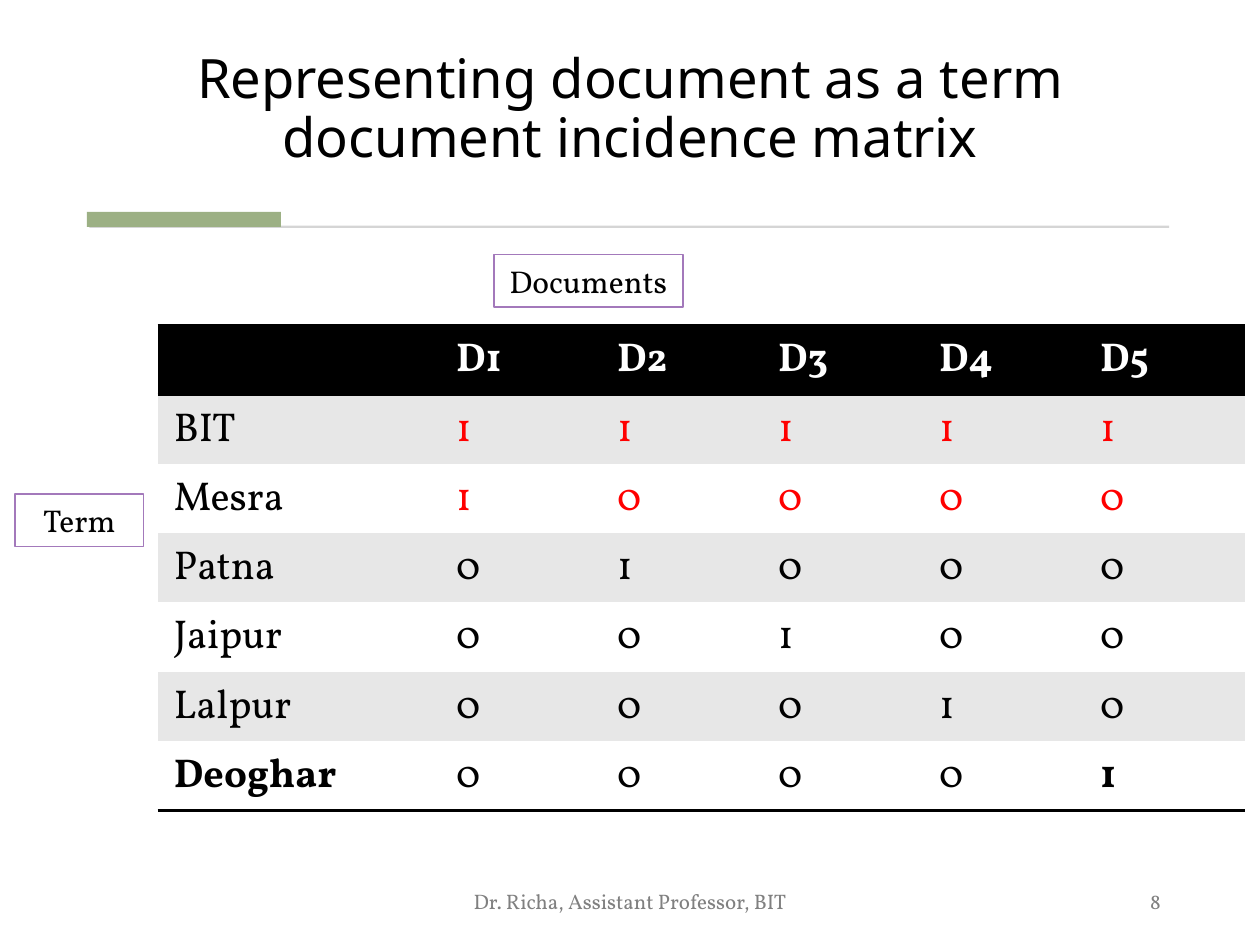
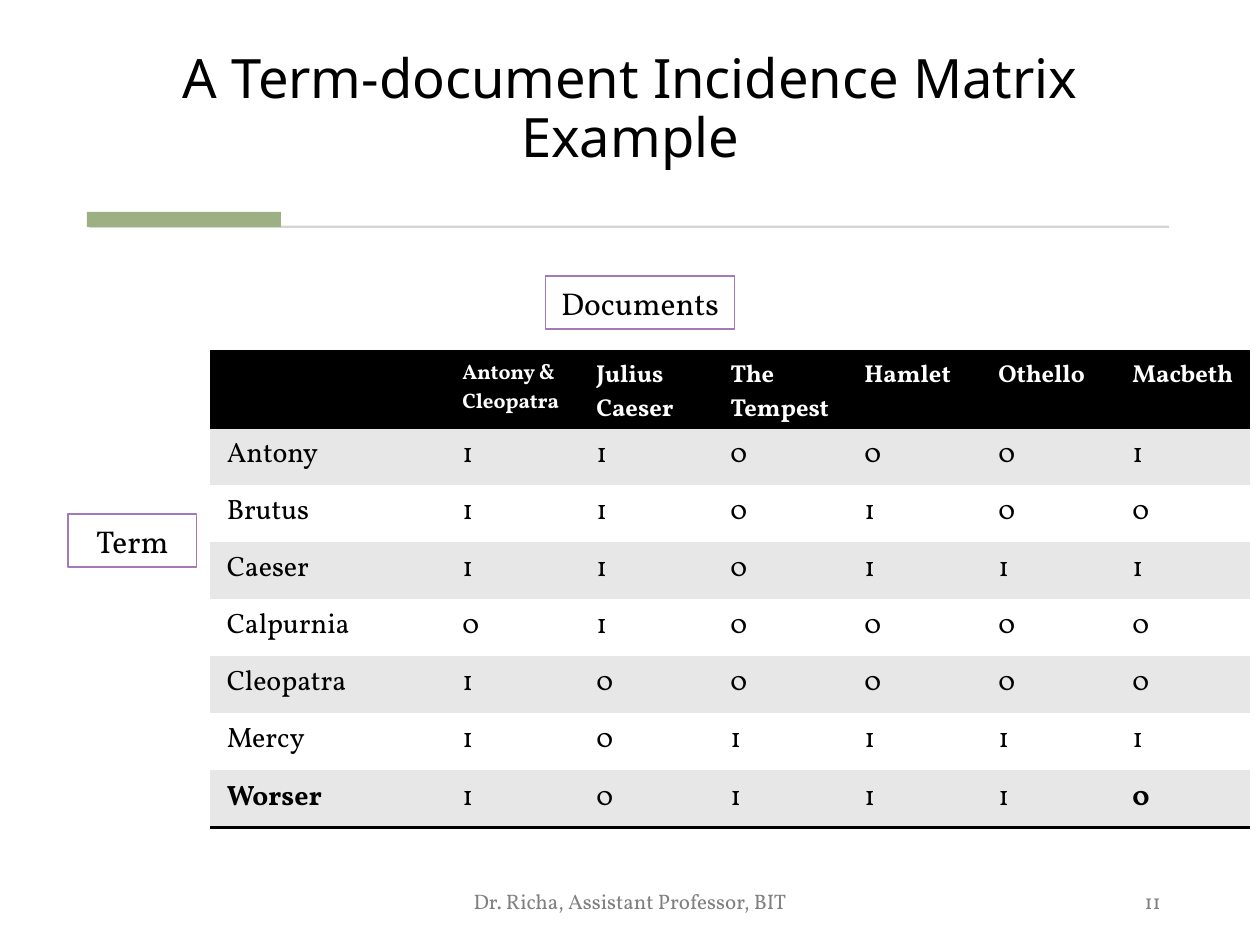
"""Build two slides that show term-document incidence matrices."""
from lxml.etree import SubElement
from pptx import Presentation
from pptx.dml.color import RGBColor
from pptx.enum.shapes import MSO_SHAPE as Shape
from pptx.enum.text import MSO_ANCHOR as Anchor, MSO_AUTO_SIZE as AutoSize, PP_ALIGN as Align
from pptx.oxml.ns import qn
from pptx.util import Pt

COLORS = {
    "black": "000000",
    "white": "FFFFFF",
    "stripe": "E7E7E7",
    "red": "FF0000",
    "rule": "D5D5D5",
    "accent": "9CB084",
    "outline": "A379BB",
    "footer": "808080",
}
TITLE_FONT, BODY_FONT = "Noto Sans", "Vollkorn"
PLAIN_TABLE_STYLE = "{2D5ABB26-0587-4C30-8999-92F81FD0307C}"
LABEL_HEIGHT = 30.2
FOOTER_TOP, FOOTER_HEIGHT = 500.4, 28.8


def color(name):
    return RGBColor.from_string(COLORS[name])


def apply(target, values):
    for name, value in values.items():
        setattr(target, name, value)


def write(frame, text, size, shade="black", font=BODY_FONT, bold=False, **para_format):
    para = frame.paragraphs[0]
    apply(para, para_format)
    span = para.add_run()
    span.text = text
    apply(span.font, {"name": font, "size": Pt(size), "bold": bold})
    span.font.color.rgb = color(shade)


def add_title(page, text):
    box = page.shapes.title
    apply(box, {"left": Pt(49.7), "top": Pt(20.2), "width": Pt(620.6), "height": Pt(79.9)})
    apply(box.text_frame, {"vertical_anchor": Anchor.BOTTOM, "word_wrap": True,
                           "auto_size": AutoSize.NONE})
    write(box.text_frame, text, 31, font=TITLE_FONT, alignment=Align.CENTER, line_spacing=0.9)


def add_rectangle(page, left, top, width, height, fill, outline=None):
    box = page.shapes.add_shape(Shape.RECTANGLE, Pt(left), Pt(top), Pt(width), Pt(height))
    box.shadow.inherit = False
    box.fill.solid()
    box.fill.fore_color.rgb = color(fill)
    if outline:
        box.line.color.rgb = color(outline)
        box.line.width = Pt(1)
    else:
        box.line.fill.background()
    return box


def add_label(page, text, left, top, width):
    box = add_rectangle(page, left, top, width, LABEL_HEIGHT, "white", "outline")
    apply(box.text_frame, {"vertical_anchor": Anchor.MIDDLE, "word_wrap": True})
    write(box.text_frame, text, 18, alignment=Align.CENTER)


def add_footer_text(page, text, left, width, alignment):
    box = page.shapes.add_textbox(Pt(left), Pt(FOOTER_TOP), Pt(width), Pt(FOOTER_HEIGHT))
    apply(box.text_frame, {"vertical_anchor": Anchor.MIDDLE, "word_wrap": True})
    write(box.text_frame, text, 12, "footer", alignment=alignment, space_after=Pt(6))


def add_page(deck, title, number):
    page = deck.slides.add_slide(deck.slide_layouts.get_by_name("Title Only"))
    add_title(page, title)
    add_rectangle(page, 51.1, 128.9, 617, 1.4, "rule")
    add_rectangle(page, 49.7, 121, 110.9, 8.6, "accent")
    add_footer_text(page, "Dr. Richa, Assistant Professor, BIT", 238.3, 243.4, Align.CENTER)
    add_footer_text(page, number, 524.2, 146.2, Align.RIGHT)
    return page


def add_border(cell, side):
    properties = cell._tc.get_or_add_tcPr()
    line = SubElement(properties, qn(f"a:{side}"), w=str(Pt(2)))
    fill = SubElement(line, qn("a:solidFill"))
    SubElement(fill, qn("a:srgbClr"), val=COLORS["black"])


def format_cell(cell, fill, sides):
    for side in sides:
        add_border(cell, side)
    cell.fill.solid()
    cell.fill.fore_color.rgb = color(fill)
    apply(cell, {"margin_left": Pt(9.4), "margin_right": Pt(9.4),
                 "margin_top": Pt(4.7), "margin_bottom": Pt(4.7)})


def add_matrix(page, left, top, headings, rows, widths, heights, sizes, red_rows=()):
    """Add a matrix; widths, heights and sizes give the first value, then the rest."""
    records = [["", *headings]] + [row.split() for row in rows]
    column_widths = [widths[0]] + [widths[1]] * len(headings)
    row_heights = [heights[0]] + [heights[1]] * len(rows)
    frame = page.shapes.add_table(len(records), len(column_widths), Pt(left), Pt(top),
                                  Pt(sum(column_widths)), Pt(sum(row_heights)))
    table = frame.table
    apply(table, {"first_row": False, "horz_banding": False})
    next(frame.element.iter(qn("a:tableStyleId"))).text = PLAIN_TABLE_STYLE
    for column, width in zip(table.columns, column_widths):
        column.width = Pt(width)
    for table_row, height in zip(table.rows, row_heights):
        table_row.height = Pt(height)

    last_row, last_column = len(rows), len(headings)
    for row, record in enumerate(records):
        header = row == 0
        fill = "black" if header else "stripe" if row % 2 else "white"
        sides = ("lnT", "lnB") if header else ("lnB",) if row == last_row else ()
        for column, text in enumerate(record):
            cell = table.cell(row, column)
            format_cell(cell, fill, sides)
            if not text:
                continue
            shade = "white" if header else "red" if row in red_rows and column else "black"
            bold = header or (row == last_row and column in (0, last_column))
            size = sizes.get(text, sizes["header"] if header else sizes["body"])
            write(cell.text_frame, text, size, shade, bold=bold)


def add_city_matrix(deck):
    page = add_page(deck, "Representing document as a term document incidence matrix", "8")
    rows = ["BIT 1 1 1 1 1", "Mesra 1 0 0 0 0", "Patna 0 1 0 0 0",
            "Jaipur 0 0 1 0 0", "Lalpur 0 0 0 1 0", "Deoghar 0 0 0 0 1"]
    add_matrix(page, 90, 185.8, [f"D{number}" for number in range(1, 6)], rows,
               (161.3, 92), (39.6, 39.6), {"header": 23, "body": 23}, red_rows=(1, 2))
    add_label(page, "Term", 8.6, 282.2, 73.4)
    add_label(page, "Documents", 282.2, 145.4, 108)


def add_play_matrix(deck):
    page = add_page(deck, "A Term-document Incidence Matrix Example", "11")
    plays = ["Antony & Cleopatra", "Julius Caeser", "The Tempest", "Hamlet", "Othello", "Macbeth"]
    rows = ["Antony 1 1 0 0 0 1", "Brutus 1 1 0 1 0 0", "Caeser 1 1 0 1 1 1",
            "Calpurnia 0 1 0 0 0 0", "Cleopatra 1 0 0 0 0 0", "Mercy 1 0 1 1 1 1",
            "Worser 1 0 1 1 1 0"]
    add_matrix(page, 120.2, 200.6, plays, rows, (134.6, 76.6), (43.9, 32.6),
               {"header": 14, "body": 16, "Antony & Cleopatra": 12})
    add_label(page, "Term", 38.9, 293.8, 73.4)
    add_label(page, "Documents", 311.8, 157.7, 108)


def main():
    deck = Presentation()
    apply(deck, {"slide_width": Pt(720), "slide_height": Pt(540)})
    add_city_matrix(deck)
    add_play_matrix(deck)
    deck.save("out.pptx")


if __name__ == "__main__":
    main()
